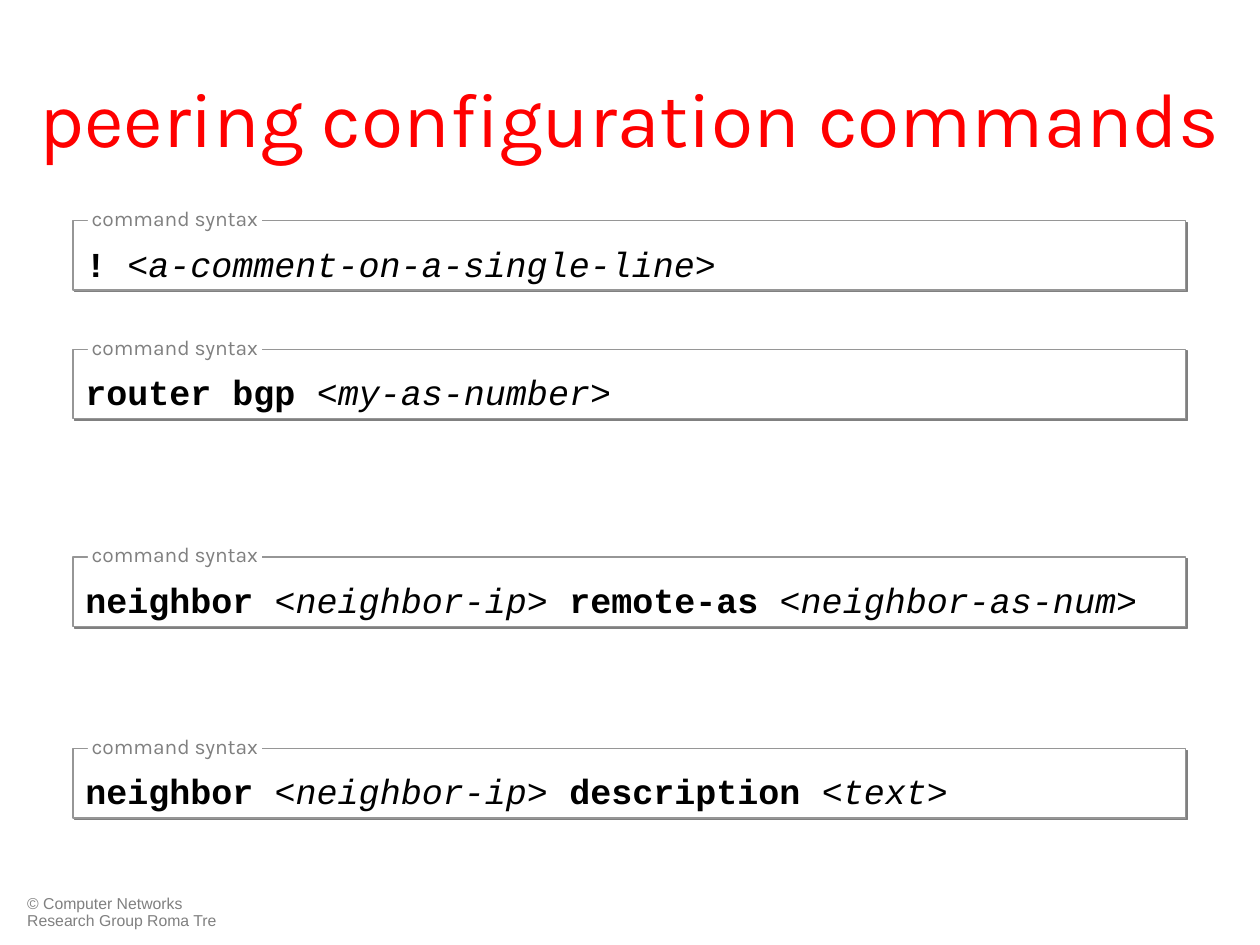
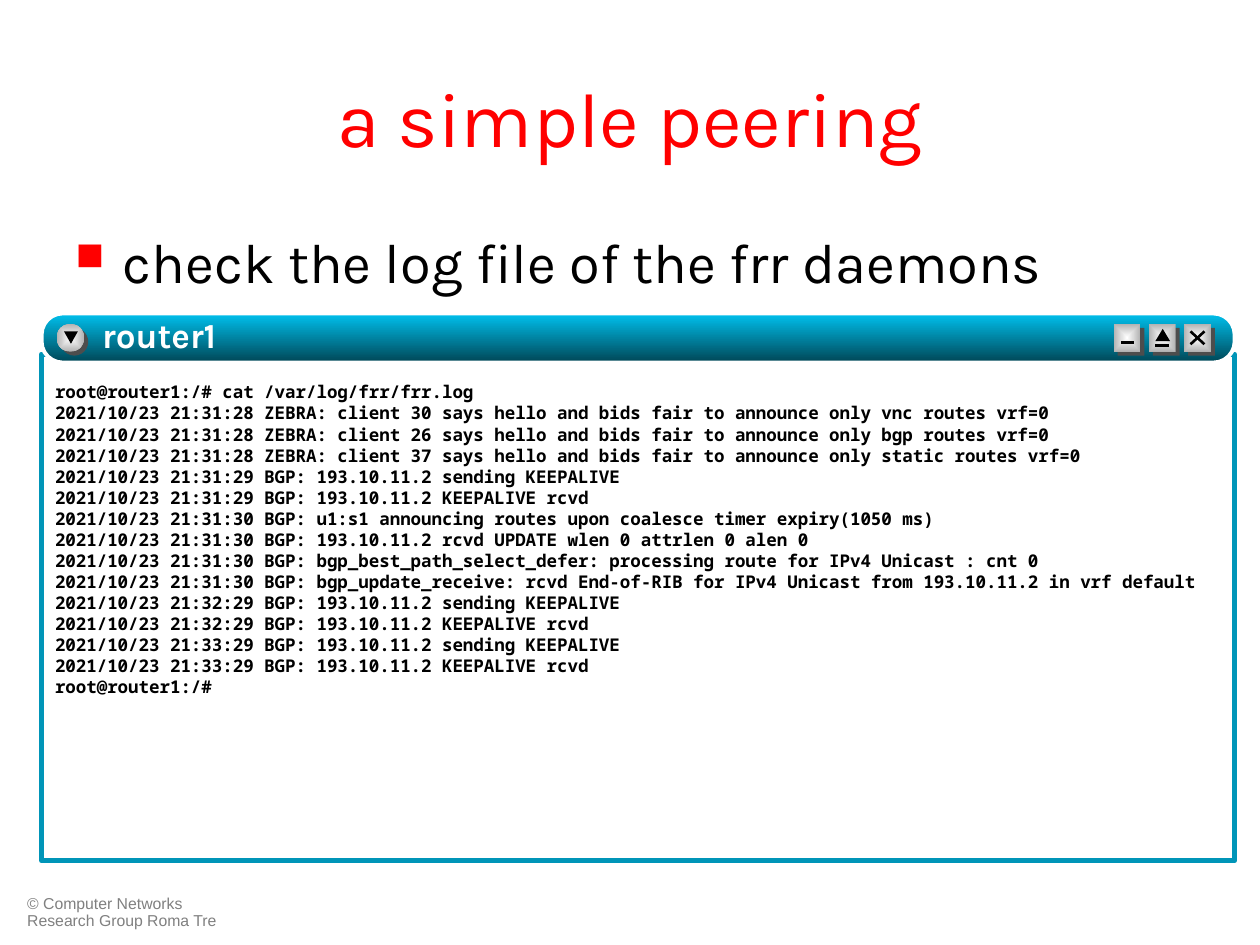
from lxml import etree
from pptx import Presentation
from pptx.dml.color import RGBColor
from pptx.enum.shapes import MSO_CONNECTOR, MSO_SHAPE
from pptx.enum.text import MSO_ANCHOR, PP_ALIGN
from pptx.oxml.ns import qn
from pptx.util import Cm, Pt

RECT, ROUND_RECT = MSO_SHAPE.RECTANGLE, MSO_SHAPE.ROUNDED_RECTANGLE
OVAL, TRIANGLE = MSO_SHAPE.OVAL, MSO_SHAPE.ISOSCELES_TRIANGLE
STRAIGHT = MSO_CONNECTOR.STRAIGHT
CENTER, MIDDLE, TOP = PP_ALIGN.CENTER, MSO_ANCHOR.MIDDLE, MSO_ANCHOR.TOP

# Shared style
RED, BLACK, WHITE, GREY = "FF0000", "000000", "FFFFFF", "808080"
BOX_LINE, TEAL, BUTTON_SHADE = "969696", "0095B8", "4D4D4D"
BAR_COLORS, BUTTON_COLORS = ("00C1EE", "004656"), ("FFFFFF", "B2B2B2")
SANS, CODE, LOG_FONT, FOOTER_FONT = "Karla", "Courier New", "Noto Sans Mono", "Arial"
INSETS = (0.25, 0.13, 0.25, 0.13)
HANGING = 0.96

# Content
FOOTER = "© Computer Networks Research Group Roma Tre"
COMMANDS_TITLE = "peering configuration commands"
SYNTAX_LABEL = "command syntax"
# Top of each box, then alternating keyword and argument
COMMANDS = [
    (4.45, ["! ", "<a-comment-on-a-single-line>"]),
    (7.04, ["router bgp ", "<my-as-number>"]),
    (11.23, ["neighbor ", "<neighbor-ip> ", "remote-as ", "<neighbor-as-num>"]),
    (15.09, ["neighbor ", "<neighbor-ip> ", "description ", "<text>"]),
]
PEERING_TITLE = "a simple peering"
PEERING_BULLET = "check the log file of the frr daemons"
TERMINAL_NAME = "router1"
LOG = [
    "root@router1:/# cat /var/log/frr/frr.log",
    "2021/10/23 21:31:28 ZEBRA: client 30 says hello and bids fair to announce only vnc routes vrf=0",
    "2021/10/23 21:31:28 ZEBRA: client 26 says hello and bids fair to announce only bgp routes vrf=0",
    "2021/10/23 21:31:28 ZEBRA: client 37 says hello and bids fair to announce only static routes vrf=0",
    "2021/10/23 21:31:29 BGP: 193.10.11.2 sending KEEPALIVE",
    "2021/10/23 21:31:29 BGP: 193.10.11.2 KEEPALIVE rcvd",
    "2021/10/23 21:31:30 BGP: u1:s1 announcing routes upon coalesce timer expiry(1050 ms)",
    "2021/10/23 21:31:30 BGP: 193.10.11.2 rcvd UPDATE wlen 0 attrlen 0 alen 0",
    "2021/10/23 21:31:30 BGP: bgp_best_path_select_defer: processing route for IPv4 Unicast : cnt 0",
    "2021/10/23 21:31:30 BGP: bgp_update_receive: rcvd End-of-RIB for IPv4 Unicast from 193.10.11.2 in vrf default",
    "2021/10/23 21:32:29 BGP: 193.10.11.2 sending KEEPALIVE",
    "2021/10/23 21:32:29 BGP: 193.10.11.2 KEEPALIVE rcvd",
    "2021/10/23 21:33:29 BGP: 193.10.11.2 sending KEEPALIVE",
    "2021/10/23 21:33:29 BGP: 193.10.11.2 KEEPALIVE rcvd",
    "root@router1:/#",
]

# Window buttons: strokes and triangle are relative to the button's corner
BUTTON_TOP, BUTTON_H, BUTTON_W, BUTTON_STEP = 6.53, 0.56, 0.54, 0.71
FIRST_BUTTON = 22.45
WINDOW_BUTTONS = [
    {"strokes": [(0.15, 0.38, 0.41, 0.38)]},
    {"strokes": [(0.13, 0.43, 0.41, 0.43)], "triangle": (0.13, 0.1, 0.3, 0.25)},
    {"strokes": [(0.13, 0.41, 0.41, 0.15), (0.13, 0.15, 0.41, 0.41)]},
]


def rgb(color):
    return RGBColor.from_string(color)


def sub(parent, tag, **attrs):
    return etree.SubElement(parent, qn(tag), {k: str(v) for k, v in attrs.items()})


def add_shadow(parent, color, dist):
    """Append a hard shadow falling to the lower right."""
    effects = sub(parent, "a:effectLst")
    shadow = sub(effects, "a:outerShdw", dist=Pt(dist), dir=45 * 60000,
                 algn="tl", rotWithShape=0)
    sub(shadow, "a:srgbClr", val=color)
    return effects


def add_shape(slide, kind, box, fill=None, line=None, width=0.75):
    sp = slide.shapes.add_shape(kind, *map(Cm, box))
    sp.shadow.inherit = False
    if fill:
        sp.fill.solid()
        sp.fill.fore_color.rgb = rgb(fill)
    else:
        sp.fill.background()
    if line:
        sp.line.color.rgb = rgb(line)
        sp.line.width = Pt(width)
    else:
        sp.line.fill.background()
    return sp


def set_gradient(sp, colors, from_center=False):
    sp.fill.gradient()
    for stop, color in zip(sp.fill.gradient_stops, colors):
        stop.color.rgb = rgb(color)
    sp.fill.gradient_angle = 270
    if from_center:
        lin = sp._element.spPr.find(".//" + qn("a:lin"))
        grad = lin.getparent()
        grad.remove(lin)
        center = sub(grad, "a:path", path="rect")
        sub(center, "a:fillToRect", l=50000, t=50000, r=50000, b=50000)


def add_stroke(slide, x1, y1, x2, y2):
    cxn = slide.shapes.add_connector(STRAIGHT, *map(Cm, (x1, y1, x2, y2)))
    cxn.line.color.rgb = rgb(BLACK)
    cxn.line.width = Pt(1.5)
    sub(cxn._element.spPr, "a:effectLst")


def setup_frame(tf, insets=INSETS, anchor=TOP, wrap=True):
    tf.margin_left, tf.margin_top, tf.margin_right, tf.margin_bottom = map(Cm, insets)
    tf.vertical_anchor = anchor
    tf.word_wrap = wrap


def set_font(font, name, size, color, bold=False):
    font.name, font.size, font.bold = name, Pt(size), bold
    font.color.rgb = rgb(color)


def set_hanging(p):
    pPr = p._p.get_or_add_pPr()
    pPr.set("marL", str(Cm(HANGING)))
    pPr.set("indent", str(-Cm(HANGING)))
    return pPr


def add_text(slide, box, text, font, insets=INSETS, anchor=TOP):
    sp = slide.shapes.add_textbox(*map(Cm, box))
    setup_frame(sp.text_frame, insets, anchor)
    p = sp.text_frame.paragraphs[0]
    p.text = text
    set_font(p.font, *font)
    return p


def add_slide(prs, title, margin):
    slide = prs.slides.add_slide(prs.slide_layouts[6])
    p = add_text(slide, (0.3, 17.93, 4.39, 0.91), FOOTER, (FOOTER_FONT, 9, GREY))
    p.line_spacing = 0.9
    p = add_text(slide, (margin, 0.76, 25.4 - 2 * margin, 3.18), title,
                 (SANS, 44, RED), anchor=MIDDLE)
    p.alignment = CENTER
    return slide


def add_syntax_box(slide, top, parts):
    left = 1.47
    sp = add_shape(slide, RECT, (left, top, 22.43, 1.4), WHITE, BOX_LINE)
    spPr = sp._element.spPr
    spPr.remove(spPr.find(qn("a:effectLst")))
    add_shadow(spPr, GREY, 1.4)
    setup_frame(sp.text_frame, (0.25, 0.43, 0.25, 0.13))
    p = sp.text_frame.paragraphs[0]
    p.alignment = PP_ALIGN.LEFT
    set_hanging(p)
    for i, part in enumerate(parts):
        r = p.add_run()
        r.text = part
        set_font(r.font, CODE, 20, BLACK, bold=i % 2 == 0)
        r.font.italic = i % 2 == 1

    label = add_shape(slide, RECT, (left + 0.3, top - 0.43, 3.51, 0.76), WHITE)
    setup_frame(label.text_frame, (0.05, 0.13, 0.05, 0.13), MIDDLE, wrap=False)
    p = label.text_frame.paragraphs[0]
    p.text = SYNTAX_LABEL
    p.alignment = CENTER
    set_font(p.font, SANS, 12, GREY)


def add_button(slide, kind, left, width):
    shade = 0.08
    add_shape(slide, kind, (left + shade, BUTTON_TOP + shade, width, BUTTON_H), BUTTON_SHADE)
    face = add_shape(slide, kind, (left, BUTTON_TOP, width, BUTTON_H))
    set_gradient(face, BUTTON_COLORS, from_center=True)


def add_terminal(slide):
    left, bar_top, width, bar_h = 0.84, 6.32, 24.05, 0.99
    add_shape(slide, RECT, (left, 7.14, width, 10.21), line=TEAL, width=3)

    # Log lines
    font = (LOG_FONT, 10, BLACK, True)
    sp = slide.shapes.add_textbox(*map(Cm, (0.91, 7.59, 23.98, 9.73)))
    tf = sp.text_frame
    setup_frame(tf, (0.2, 0.1, 0.2, 0.1))
    for i, entry in enumerate(LOG):
        p = tf.add_paragraph() if i else tf.paragraphs[0]
        p.text = entry
        set_font(p.font, *font)

    # Title bar
    bar = add_shape(slide, ROUND_RECT, (left, bar_top, width, bar_h), line=WHITE, width=2.25)
    bar.adjustments[0] = 0.43
    set_gradient(bar, BAR_COLORS)

    # Menu button
    menu_left = 1.14
    add_button(slide, OVAL, menu_left, BUTTON_H)
    arrow = add_shape(slide, TRIANGLE, (menu_left + 0.15, BUTTON_TOP + 0.15, 0.28, 0.25), BLACK)
    arrow.rotation = 180

    # Window buttons
    for i, button in enumerate(WINDOW_BUTTONS):
        x = FIRST_BUTTON + i * BUTTON_STEP
        add_button(slide, RECT, x, BUTTON_W)
        for x1, y1, x2, y2 in button["strokes"]:
            add_stroke(slide, x + x1, BUTTON_TOP + y1, x + x2, BUTTON_TOP + y2)
        if "triangle" in button:
            dx, dy, w, h = button["triangle"]
            add_shape(slide, TRIANGLE, (x + dx, BUTTON_TOP + dy, w, h), BLACK)

    # Terminal name with a text shadow
    name_font = (SANS, 20, WHITE, True)
    p = add_text(slide, (2.06, bar_top, 6.71, bar_h), TERMINAL_NAME, name_font, (0, 0, 0, 0))
    r = p.runs[0]
    set_font(r.font, *name_font)
    rPr = r._r.get_or_add_rPr()
    rPr.find(qn("a:solidFill")).addnext(add_shadow(rPr, BLACK, 1.4))


def build_commands(prs):
    slide = add_slide(prs, COMMANDS_TITLE, 0)
    for top, parts in COMMANDS:
        add_syntax_box(slide, top, parts)


def build_peering(prs):
    slide = add_slide(prs, PEERING_TITLE, 1.27)
    sp = slide.shapes.add_textbox(*map(Cm, (1.27, 4.45, 22.86, 2.08)))
    setup_frame(sp.text_frame)
    p = sp.text_frame.paragraphs[0]
    p.text = PEERING_BULLET
    pPr = set_hanging(p)
    sub(sub(pPr, "a:buClr"), "a:srgbClr", val=RED)
    sub(pPr, "a:buSzPct", val=70000)
    sub(pPr, "a:buChar", char="■")
    set_font(p.font, SANS, 32, BLACK)
    add_terminal(slide)


def main():
    prs = Presentation()
    prs.slide_width, prs.slide_height = Cm(25.4), Cm(19.05)
    build_commands(prs)
    build_peering(prs)
    prs.save("out.pptx")


if __name__ == "__main__":
    main()
